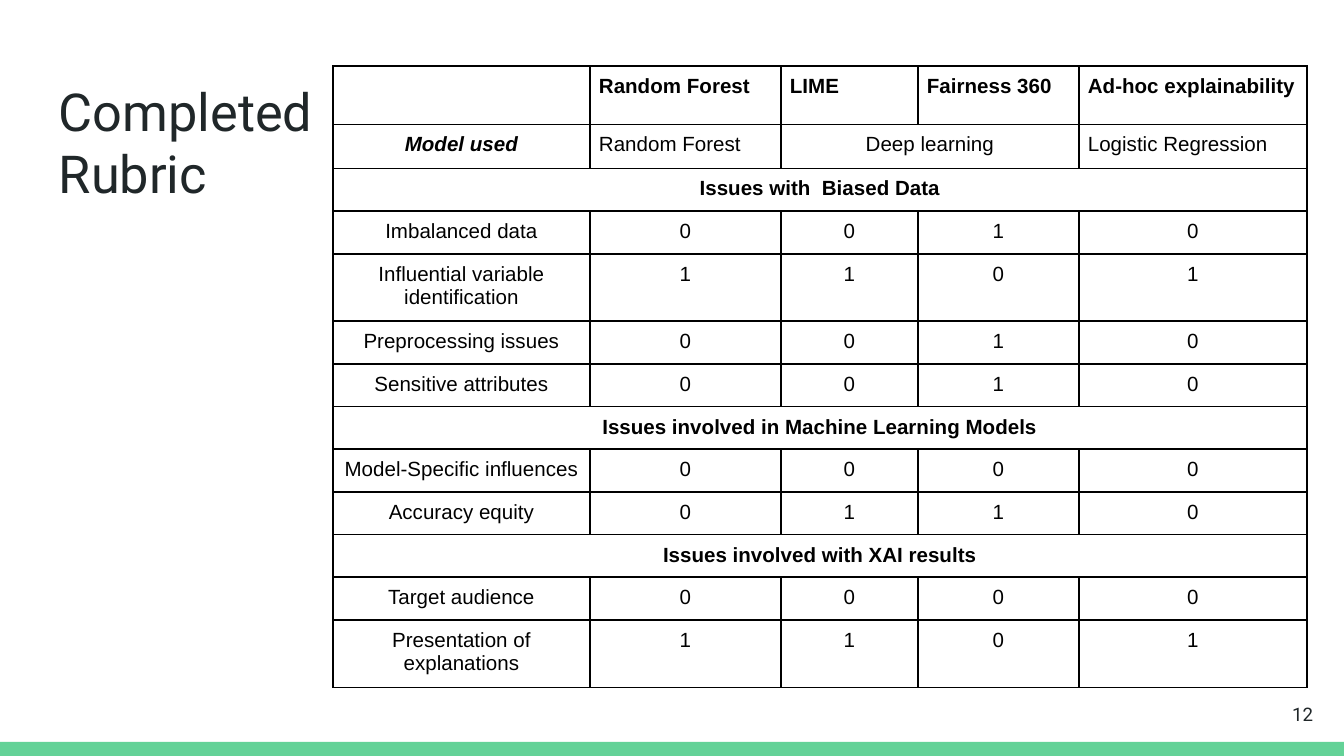
from lxml import etree
from pptx import Presentation
from pptx.dml.color import RGBColor
from pptx.enum.shapes import MSO_SHAPE
from pptx.enum.text import MSO_ANCHOR, PP_ALIGN
from pptx.oxml.ns import qn
from pptx.util import Emu, Pt

RECT = MSO_SHAPE.RECTANGLE
TOP, MIDDLE = MSO_ANCHOR.TOP, MSO_ANCHOR.MIDDLE
LEFT, CENTER, RIGHT = PP_ALIGN.LEFT, PP_ALIGN.CENTER, PP_ALIGN.RIGHT

SCALE = 914400 / 134.4
COLORS = {"green": "63D297", "ink": "202729", "black": "000000", "white": "FFFFFF"}
BORDER_SIDES = ("a:lnL", "a:lnR", "a:lnT", "a:lnB")

COLUMN_WIDTHS = [257, 191, 137, 161, 228]
ROW_HEIGHTS = [56, 44, 42, 41, 64, 42, 42, 41, 41, 42, 41, 42, 64]
HEADINGS = ["", "Random Forest", "LIME", "Fairness 360", "Ad-hoc explainability"]
MODELS = ["Model used", "Random Forest", "Deep learning", "", "Logistic Regression"]
SECTIONS = [
    ("Issues with  Biased Data", [
        ("Imbalanced data", "0010"),
        ("Influential variable identification", "1101"),
        ("Preprocessing issues", "0010"),
        ("Sensitive attributes", "0010"),
    ]),
    ("Issues involved in Machine Learning Models", [
        ("Model-Specific influences", "0000"),
        ("Accuracy equity", "0110"),
    ]),
    ("Issues involved with XAI results", [
        ("Target audience", "0000"),
        ("Presentation of explanations", "1101"),
    ]),
]


def px(n):
    return Emu(round(n * SCALE))


def rgb(name):
    return RGBColor.from_string(COLORS[name])


def add_run(p, text, font, size, color, bold=False, italic=False):
    r = p.add_run()
    r.text = text
    r.font.name = font
    r.font.size = Pt(size)
    r.font.color.rgb = rgb(color)
    r.font.bold = bold
    r.font.italic = italic


def add_text(s, box, lines, size, align, anchor):
    tf = s.shapes.add_textbox(*map(px, box)).text_frame
    tf.word_wrap = True
    tf.vertical_anchor = anchor
    tf.margin_left = tf.margin_right = tf.margin_top = tf.margin_bottom = px(13)
    for i, line in enumerate(lines):
        p = tf.add_paragraph() if i else tf.paragraphs[0]
        p.alignment = align
        add_run(p, line, "Roboto", size, "ink")


def add_footer(s, box):
    x, y, w, h = box
    bar_h = 14
    bar = s.shapes.add_shape(RECT, px(x), px(y + h - bar_h), px(w), px(bar_h))
    bar.shadow.inherit = False
    bar.fill.solid()
    bar.fill.fore_color.rgb = rgb("green")
    bar.line.fill.background()
    add_text(s, (x + w - 98, y, 80, 58), ["12"], 10, RIGHT, MIDDLE)


def style_cell(cell):
    tcPr = cell._tc.get_or_add_tcPr()
    for side in BORDER_SIDES:
        ln = etree.SubElement(tcPr, qn(side), w=str(Pt(1)))
        fill = etree.SubElement(ln, qn("a:solidFill"))
        etree.SubElement(fill, qn("a:srgbClr"), val=COLORS["black"])
    cell.fill.solid()
    cell.fill.fore_color.rgb = rgb("white")
    cell.margin_left = cell.margin_right = px(9)
    cell.margin_top = cell.margin_bottom = px(9)


def fill_cell(cell, text, align, bold=False, italic=False):
    if text:
        p = cell.text_frame.paragraphs[0]
        p.alignment = align
        add_run(p, text, "Arial", 11, "black", bold, italic)


def add_rubric(s, box):
    frame = s.shapes.add_table(len(ROW_HEIGHTS), len(COLUMN_WIDTHS), *map(px, box))
    table = frame.table
    table.first_row = table.horz_banding = False
    for column, width in zip(table.columns, COLUMN_WIDTHS):
        column.width = px(width)
    for row, height in zip(table.rows, ROW_HEIGHTS):
        row.height = px(height)
    for cell in table.iter_cells():
        style_cell(cell)

    for c, text in enumerate(HEADINGS):
        fill_cell(table.cell(0, c), text, LEFT, bold=True)
    for c, text in enumerate(MODELS):
        label = c == 0
        align = CENTER if c in (0, 2) else LEFT
        fill_cell(table.cell(1, c), text, align, bold=label, italic=label)
    table.cell(1, 2).merge(table.cell(1, 3))

    r = 2
    for section, criteria in SECTIONS:
        table.cell(r, 0).merge(table.cell(r, len(COLUMN_WIDTHS) - 1))
        fill_cell(table.cell(r, 0), section, CENTER, bold=True)
        r += 1
        for criterion, scores in criteria:
            for c, text in enumerate([criterion, *scores]):
                fill_cell(table.cell(r, c), text, CENTER)
            r += 1


def main():
    prs = Presentation()
    prs.slide_width, prs.slide_height = px(1344), px(756)
    s = prs.slides.add_slide(prs.slide_layouts[6])
    add_footer(s, (0, 685, 1344, 71))
    add_text(s, (46, 66, 1253, 85), ["Completed", "Rubric"], 28, LEFT, TOP)
    add_rubric(s, (333, 66, sum(COLUMN_WIDTHS), sum(ROW_HEIGHTS)))
    prs.save("out.pptx")


if __name__ == "__main__":
    main()
